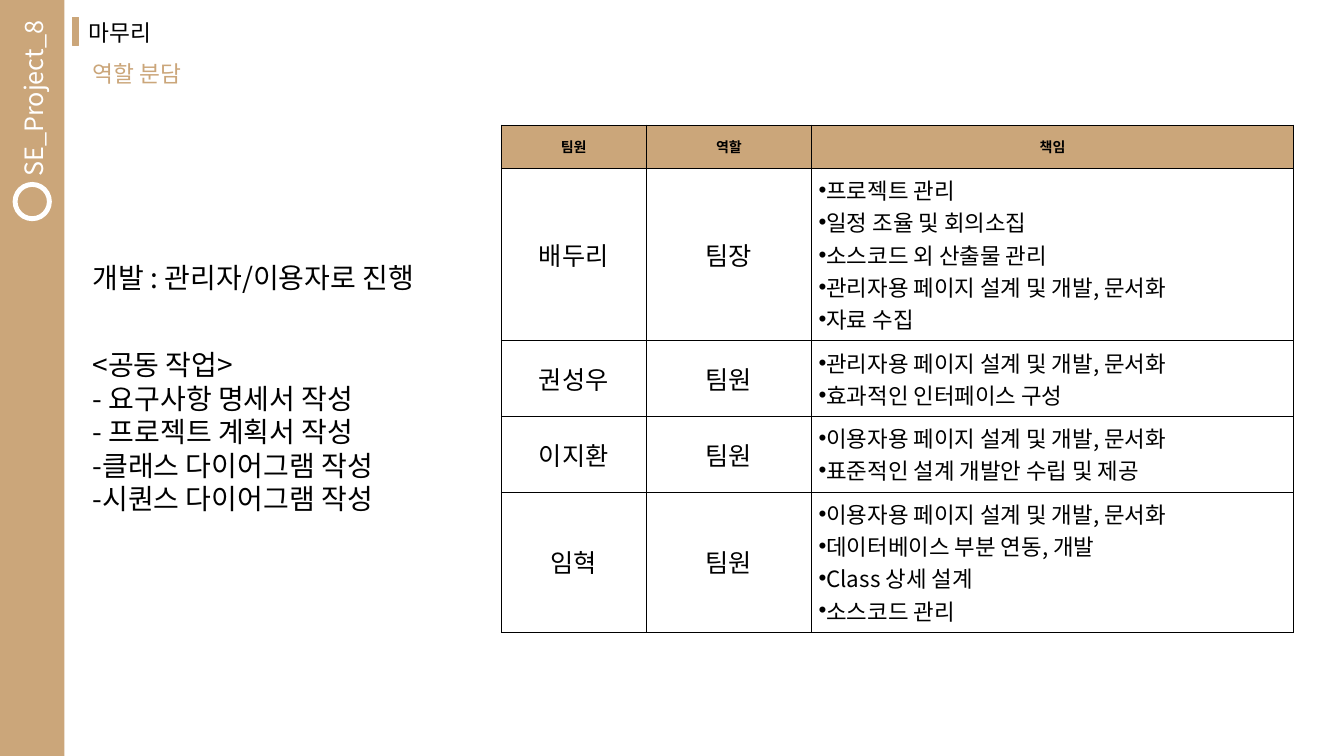
from lxml.etree import SubElement
from pptx import Presentation
from pptx.dml.color import RGBColor
from pptx.enum.shapes import MSO_SHAPE
from pptx.enum.text import MSO_ANCHOR, MSO_AUTO_SIZE, PP_ALIGN
from pptx.oxml.ns import qn
from pptx.util import Inches, Pt

FONT = "Noto Sans CJK KR"
TAN = RGBColor(0xCB, 0xA6, 0x7A)
BLACK = RGBColor(0, 0, 0)
WHITE = RGBColor(0xFF, 0xFF, 0xFF)

COLUMN_WIDTHS = [1.44, 1.64, 4.78]
ROW_HEIGHTS = [0.43, 1.71, 0.75, 0.75, 1.39]
HEADINGS = ["팀원", "역할", "책임"]
MEMBERS = [
    ("배두리", "팀장", ["프로젝트 관리", "일정 조율 및 회의소집", "소스코드 외 산출물 관리",
                   "관리자용 페이지 설계 및 개발, 문서화", "자료 수집"]),
    ("권성우", "팀원", ["관리자용 페이지 설계 및 개발, 문서화", "효과적인 인터페이스 구성"]),
    ("이지환", "팀원", ["이용자용 페이지 설계 및 개발, 문서화",
                   "표준적인 설계 개발안 수립 및 제공"]),
    ("임혁", "팀원", ["이용자용 페이지 설계 및 개발, 문서화", "데이터베이스 부분 연동, 개발",
                  "Class 상세 설계", "소스코드 관리"]),
]
SHARED_TASKS = ["- 요구사항 명세서 작성", "- 프로젝트 계획서 작성",
                "-클래스 다이어그램 작성", "-시퀀스 다이어그램 작성"]


def write(para, text, size=18, color=BLACK, bold=False, align=PP_ALIGN.LEFT,
          line_spacing=1.0, space_before=0):
    para.alignment = align
    para.line_spacing = line_spacing
    para.space_before = Pt(space_before)
    span = para.add_run()
    span.text = text
    span.font.size = Pt(size)
    span.font.bold = bold
    span.font.color.rgb = color
    span.font.name = FONT
    SubElement(span.font._element, qn("a:ea"), typeface=FONT)


def add_bullet(para):
    properties = para._p.get_or_add_pPr()
    properties.set("marL", "0")
    properties.set("indent", "0")
    SubElement(properties, qn("a:buFont"), typeface="Arial")
    SubElement(properties, qn("a:buChar"), char="•")


def place(box, left, top, width, height):
    box.left, box.top = Inches(left), Inches(top)
    box.width, box.height = Inches(width), Inches(height)


def add_text(page, left, top, width, height, anchor=MSO_ANCHOR.TOP):
    box = page.shapes.add_textbox(Inches(left), Inches(top), Inches(width), Inches(height))
    box.text_frame.word_wrap = True
    box.text_frame.vertical_anchor = anchor
    return box


def add_figure(page, kind, left, top, width, height, fill=None, line=None, weight=0.5):
    figure = page.shapes.add_shape(kind, Inches(left), Inches(top),
                                   Inches(width), Inches(height))
    figure.shadow.inherit = False
    if fill is None:
        figure.fill.background()
    else:
        figure.fill.solid()
        figure.fill.fore_color.rgb = fill
    if line is None:
        figure.line.fill.background()
    else:
        figure.line.color.rgb = line
        figure.line.width = Pt(weight)


def add_sidebar(page):
    add_figure(page, MSO_SHAPE.RECTANGLE, 0, 0, 0.64, 7.5, fill=TAN)
    label = add_text(page, -0.55, 0.77, 1.76, 0.4)
    label.rotation = 270
    write(label.text_frame.paragraphs[0], "SE_Project_8", color=WHITE)
    add_figure(page, MSO_SHAPE.OVAL, 0.15, 1.83, 0.34, 0.34, line=WHITE, weight=3.5)


def add_heading(page):
    title = page.shapes.title
    place(title, 0.78, 0.17, 1.85, 0.33)
    title.text_frame.auto_size = MSO_AUTO_SIZE.NONE
    title.text_frame.vertical_anchor = MSO_ANCHOR.MIDDLE
    write(title.text_frame.paragraphs[0], "마무리", size=16.2, line_spacing=0.9)
    add_figure(page, MSO_SHAPE.RECTANGLE, 0.72, 0.17, 0.06, 0.28, fill=TAN, line=TAN)
    subtitle = add_text(page, 0.82, 0.59, 1.85, 0.33, MSO_ANCHOR.MIDDLE)
    write(subtitle.text_frame.paragraphs[0], "역할 분담", size=16.2, color=TAN,
          line_spacing=0.8)


def format_cell(cell, fill=None):
    cell.vertical_anchor = MSO_ANCHOR.MIDDLE
    cell.margin_left = cell.margin_right = Inches(0.07)
    cell.margin_top = cell.margin_bottom = Inches(0.05)
    properties = cell._tc.get_or_add_tcPr()
    for side in ("lnL", "lnR", "lnT", "lnB"):
        border = SubElement(properties, qn(f"a:{side}"), w=str(Pt(0.5)))
        solid = SubElement(border, qn("a:solidFill"))
        SubElement(solid, qn("a:srgbClr"), val=str(BLACK))
    if fill is None:
        cell.fill.background()
    else:
        cell.fill.solid()
        cell.fill.fore_color.rgb = fill


def add_role_table(page):
    table = page.shapes.add_table(
        len(ROW_HEIGHTS), len(COLUMN_WIDTHS), Inches(4.97), Inches(1.24),
        Inches(sum(COLUMN_WIDTHS)), Inches(sum(ROW_HEIGHTS))).table
    table.first_row = table.horz_banding = False
    for column, width in zip(table.columns, COLUMN_WIDTHS):
        column.width = Inches(width)
    for row, height in zip(table.rows, ROW_HEIGHTS):
        row.height = Inches(height)

    for cell, heading in zip(table.rows[0].cells, HEADINGS):
        format_cell(cell, TAN)
        write(cell.text_frame.paragraphs[0], heading, size=10, bold=True,
              align=PP_ALIGN.CENTER)
    for number, (name, role, duties) in enumerate(MEMBERS, start=1):
        for column, text in enumerate((name, role)):
            cell = table.cell(number, column)
            format_cell(cell)
            write(cell.text_frame.paragraphs[0], text, align=PP_ALIGN.CENTER)
        cell = table.cell(number, 2)
        format_cell(cell)
        frame = cell.text_frame
        for index, duty in enumerate(duties):
            para = frame.add_paragraph() if index else frame.paragraphs[0]
            write(para, duty, size=16, align=PP_ALIGN.JUSTIFY)
            add_bullet(para)


def add_shared_work(page):
    frame = add_text(page, 0.82, 2.37, 3.84, 2.76).text_frame
    write(frame.paragraphs[0], "개발 : 관리자/이용자로 진행", size=20, line_spacing=1.5)
    write(frame.add_paragraph(), "<공동 작업>", size=20, line_spacing=1.5, space_before=26)
    for task in SHARED_TASKS:
        write(frame.add_paragraph(), task, size=20)


def main():
    deck = Presentation()
    deck.slide_width, deck.slide_height = Inches(13.33), Inches(7.5)
    page = deck.slides.add_slide(deck.slide_layouts[5])
    add_sidebar(page)
    add_heading(page)
    add_role_table(page)
    add_shared_work(page)
    deck.save("out.pptx")


if __name__ == "__main__":
    main()
